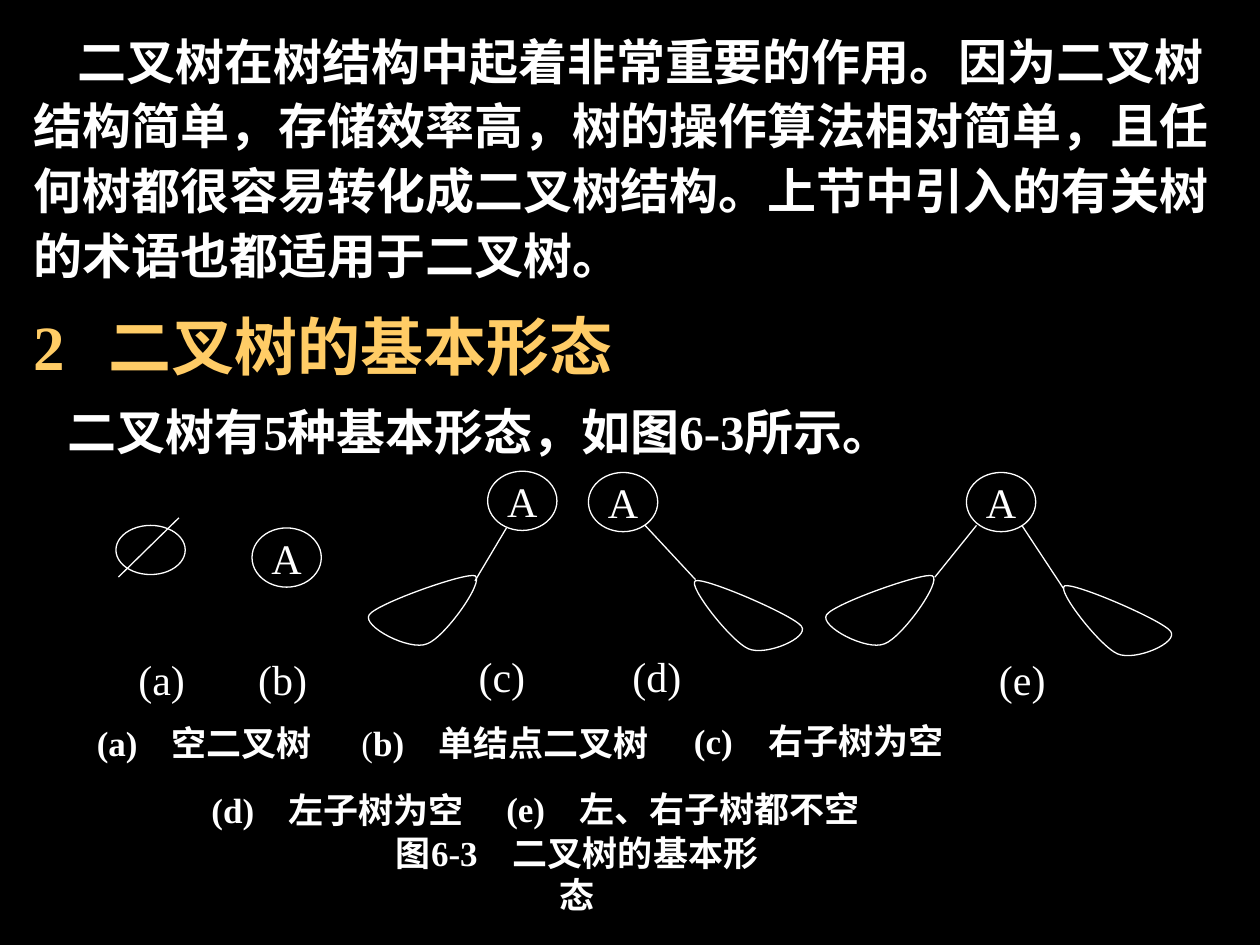
import dataclasses
import itertools

import lxml.etree
import pptx
import pptx.dml.color
import pptx.enum.shapes
import pptx.enum.text
import pptx.oxml.ns
import pptx.util

Inches = pptx.util.Inches
Align = pptx.enum.text.PP_ALIGN
WHITE, GOLD, BLACK = "FFFFFF", "FFCC66", "000000"
LATIN, CHINESE = "Times New Roman", "Noto Sans CJK SC"
LINE_WIDTH = pptx.util.Pt(0.74)

LEFT_SUBTREE = [
    (0.06, 0.34), (0, 0.43), (0.38, 0.63), (0.52, 0.57),
    (0.66, 0.52), (0.98, 0.07), (0.90, 0.03),
    (0.83, 0), (0.12, 0.25), (0.06, 0.34),
]
RIGHT_SUBTREE = [
    (0.07, 0.03), (0, 0.06), (0.35, 0.51), (0.49, 0.57),
    (0.63, 0.63), (0.98, 0.48), (0.91, 0.39),
    (0.84, 0.30), (0.14, 0), (0.07, 0.03),
]


@dataclasses.dataclass
class Label:
    text: str
    left: float
    top: float
    width: float = 0.55
    tab: float = 0
    light: str = ""


@dataclasses.dataclass
class Subtree:
    outline: list[tuple[float, float]]
    left: float
    top: float


NODES = [(2, 4.19), (3.87, 3.74), (4.67, 3.75), (7.67, 3.75)]
LINES = [
    (1.42, 4.11, 0.94, 4.58),
    (4.02, 4.19, 3.77, 4.61),
    (5.12, 4.17, 5.52, 4.6),
    (7.75, 4.17, 7.42, 4.58),
    (8.11, 4.17, 8.44, 4.67),
]
SUBTREES = [
    Subtree(LEFT_SUBTREE, 2.87, 4.54),
    Subtree(RIGHT_SUBTREE, 5.45, 4.58),
    Subtree(LEFT_SUBTREE, 6.5, 4.54),
    Subtree(RIGHT_SUBTREE, 8.38, 4.62),
]
LETTERS = [
    Label("(a)", 1, 5.19), Label("(b)", 1.95, 5.19), Label("(c)", 3.7, 5.17),
    Label("(d)", 4.92, 5.17), Label("(e)", 7.83, 5.19),
]
CAPTIONS = [
    Label("(a)\t空二叉树", 0.67, 5.7, 1.86, 0.59),
    Label("b)\t单结点二叉树", 2.77, 5.7, 2.43, 0.61, light="("),
    Label("(c)\t右子树为空", 5.41, 5.68, 2.13, 0.59),
    Label("(d)\t左子树为空", 1.58, 6.23, 2.13, 0.61),
    Label("(e)\t左、右子树都不空", 3.92, 6.22, 2.94, 0.58),
]


def color(value: str) -> pptx.dml.color.RGBColor:
    """Turn a hex string into a colour."""
    return pptx.dml.color.RGBColor.from_string(value)


def is_chinese(character: str) -> bool:
    """Tell whether a character takes the Chinese font."""
    return ord(character) > 0x2E80


def write(para, text: str, *, size: float, bold: bool = False, fill: str = WHITE,
          align=Align.LEFT, spacing: float = 1, before: float = 0,
          indent: float = 0, tab: float = 0) -> None:
    """Add text to a paragraph, with one span for each script."""
    para.alignment = align
    para.line_spacing = spacing
    para.space_before = pptx.util.Pt(before)
    properties = para._p.get_or_add_pPr()
    if indent:
        properties.set("indent", str(Inches(indent)))
    if tab:
        stops = lxml.etree.SubElement(properties, pptx.oxml.ns.qn("a:tabLst"))
        lxml.etree.SubElement(stops, pptx.oxml.ns.qn("a:tab"), pos=str(Inches(tab)), algn="l")
    for chinese, characters in itertools.groupby(text, is_chinese):
        span = para.add_run()
        span.text = "".join(characters)
        span.font.size = pptx.util.Pt(size)
        span.font.bold = bold
        span.font.color.rgb = color(fill)
        span.font.name = CHINESE if chinese else LATIN
        east_asian = lxml.etree.SubElement(span._r.get_or_add_rPr(), pptx.oxml.ns.qn("a:ea"))
        east_asian.set("typeface", CHINESE)


def set_frame(shape, wrap: bool, left: float = 0.1, right: float = 0.1):
    """Set the margins and anchor of a shape's text and return its frame."""
    frame = shape.text_frame
    frame.word_wrap = wrap
    frame.vertical_anchor = pptx.enum.text.MSO_ANCHOR.MIDDLE
    frame.margin_left, frame.margin_right = Inches(left), Inches(right)
    frame.margin_top = frame.margin_bottom = Inches(0.05)
    return frame


def add_box(page, left: float, top: float, width: float, height: float,
            wrap: bool = True, margins: tuple[float, float] = (0.1, 0.1)):
    """Add a text box and return its frame."""
    box = page.shapes.add_textbox(Inches(left), Inches(top), Inches(width), Inches(height))
    return set_frame(box, wrap, *margins)


def add_label(page, label: Label):
    """Add the one-line box of a label and return its paragraph."""
    frame = add_box(page, label.left, label.top, label.width, 0.39,
                    wrap=False, margins=(0.1, 0))
    return frame.paragraphs[0]


def set_outline(shape) -> None:
    """Leave a shape unfilled with a thin white line."""
    shape.shadow.inherit = False
    shape.fill.background()
    shape.line.color.rgb = color(WHITE)
    shape.line.width = LINE_WIDTH


def add_ellipse(page, left: float, top: float, width: float, height: float):
    """Add an outlined ellipse."""
    ellipse = page.shapes.add_shape(
        pptx.enum.shapes.MSO_SHAPE.OVAL,
        Inches(left), Inches(top), Inches(width), Inches(height))
    set_outline(ellipse)
    return ellipse


def add_line(page, *ends: float) -> None:
    """Add a straight white line."""
    line = page.shapes.add_connector(
        pptx.enum.shapes.MSO_CONNECTOR.STRAIGHT, *map(Inches, ends))
    line.line.color.rgb = color(WHITE)
    line.line.width = LINE_WIDTH
    lxml.etree.SubElement(line._element.spPr, pptx.oxml.ns.qn("a:effectLst"))


def add_subtree(page, subtree: Subtree) -> None:
    """Draw a subtree as a closed outline of cubic curves."""
    places = [(Inches(subtree.left + x), Inches(subtree.top + y)) for x, y in subtree.outline]
    builder = page.shapes.build_freeform(*places[0])
    builder.add_line_segments(places[1:], close=True)
    shape = builder.convert_to_shape()
    segments = list(shape._element.iter(pptx.oxml.ns.qn("a:lnTo")))
    for start in range(0, len(segments), 3):
        curve = lxml.etree.Element(pptx.oxml.ns.qn("a:cubicBezTo"))
        segments[start].addprevious(curve)
        for segment in segments[start:start + 3]:
            curve.append(segment[0])
            segment.getparent().remove(segment)
    set_outline(shape)


def main() -> None:
    """Build the slide on the basic forms of a binary tree."""
    deck = pptx.Presentation()
    deck.slide_width, deck.slide_height = Inches(10), Inches(7.5)
    page = deck.slides.add_slide(deck.slide_layouts[6])
    page.background.fill.solid()
    page.background.fill.fore_color.rgb = color(BLACK)

    body = add_box(page, 0.17, 0.17, 9.67, 3.51)
    write(body.paragraphs[0],
          "二叉树在树结构中起着非常重要的作用。因为二叉树结构简单，存储效率高，"
          "树的操作算法相对简单，且任何树都很容易转化成二叉树结构。"
          "上节中引入的有关树的术语也都适用于二叉树。",
          size=28, bold=True, spacing=1.1, before=7, indent=0.35)
    write(body.add_paragraph(), "2\t二叉树的基本形态",
          size=36, bold=True, fill=GOLD, spacing=1.1, before=9, tab=0.59)
    write(body.add_paragraph(), "二叉树有5种基本形态，如图6-3所示。",
          size=28, bold=True, spacing=1.1, before=7, indent=0.27)

    add_ellipse(page, 0.92, 4.17, 0.55, 0.39)
    for left, top in NODES:
        frame = set_frame(add_ellipse(page, left, top, 0.55, 0.47), wrap=False)
        write(frame.paragraphs[0], "A", size=24, align=Align.CENTER)
    for ends in LINES:
        add_line(page, *ends)
    for subtree in SUBTREES:
        add_subtree(page, subtree)

    for label in LETTERS:
        write(add_label(page, label), label.text, size=24)
    for label in CAPTIONS:
        para = add_label(page, label)
        write(para, label.light, size=20)
        write(para, label.text, size=20, bold=True, tab=label.tab)
    title = add_box(page, 2.87, 6.72, 3.42, 0.42, margins=(0.14, 0.14))
    write(title.paragraphs[0], "图6-3\u2003二叉树的基本形态",
          size=20, bold=True, align=Align.CENTER)

    deck.save("out.pptx")


main()
